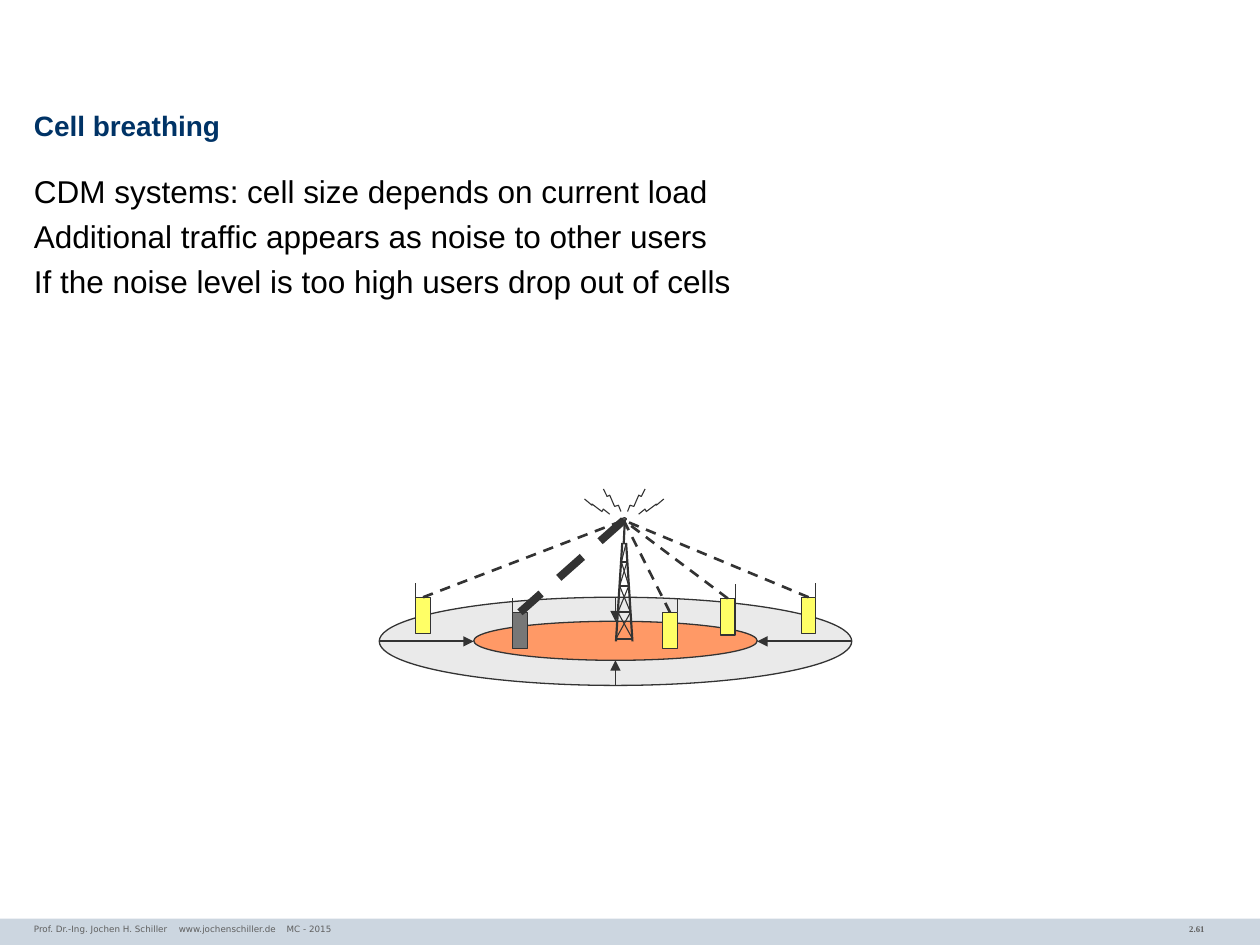
from lxml import etree
from pptx import Presentation
from pptx.dml.color import RGBColor
from pptx.enum import dml, shapes, text
from pptx.oxml import ns
from pptx.util import Pt

INK = "333333"
GREY = "5F5F5F"
YELLOW = "FFFF66"
AXIS = 356.7
MAST_TOP = (356.4, 297.3)
PHONE_WIDTH, PHONE_HEIGHT, ANTENNA = 8.3, 20.9, 8.3
PHONES = [
    (237.6, 341.3, YELLOW, "left"),
    (293, 349.9, "777777", "left"),
    (378.7, 349.9, YELLOW, "right"),
    (411.8, 342, YELLOW, "right"),
    (457.9, 341.3, YELLOW, "right"),
]
TOWER_LEVELS = [(310.3, 1.1), (321.1, 1.6), (334.8, 2.6), (349.9, 3.6), (365, 4.7)]
WAVES = [
    [(365, 293.8), (368.6, 290.9), (369.4, 292.3), (375.1, 288), (375.1, 288.7), (379.4, 285.1)],
    [(358.6, 292.3), (360, 288.7), (362.2, 289.4), (365, 283), (366.5, 283.7), (368.6, 279.4)],
]


def colour(value):
    return RGBColor.from_string(value)


def add_element(parent, tag, **attributes):
    return etree.SubElement(parent, ns.qn(tag), **attributes)


def style_line(line, width):
    line.color.rgb = colour(INK)
    line.width = Pt(width)


def place(box, left, top, width, height):
    box.left, box.top, box.width, box.height = Pt(left), Pt(top), Pt(width), Pt(height)


def set_insets(frame, side, edge):
    frame.word_wrap = True
    frame.auto_size = text.MSO_AUTO_SIZE.NONE
    frame.margin_left = frame.margin_right = Pt(side)
    frame.margin_top = frame.margin_bottom = Pt(edge)


def add_span(para, wording, size, font, ink, bold=False):
    span = para.add_run()
    span.text = wording
    span.font.size = Pt(size)
    span.font.name = font
    span.font.bold = bold
    span.font.color.rgb = colour(ink)


def fill_title(box):
    place(box, 19.4, 56.2, 680.4, 33.8)
    set_insets(box.text_frame, 0, 0)
    box.text_frame.vertical_anchor = text.MSO_ANCHOR.MIDDLE
    para = box.text_frame.paragraphs[0]
    para.alignment = text.PP_ALIGN.LEFT
    para.line_spacing = 0.85
    add_span(para, "Cell breathing", 16, "Arial", "003366", True)


def fill_body(box, lines):
    place(box, 19.4, 98, 680.4, 412.5)
    frame = box.text_frame
    set_insets(frame, 0, 0)
    for index, wording in enumerate(lines):
        para = frame.add_paragraph() if index else frame.paragraphs[0]
        properties = para._p.get_or_add_pPr()
        properties.set("marL", "0")
        properties.set("indent", "0")
        add_element(properties, "a:buNone")
        para.line_spacing = 1.02
        para.space_before = Pt(3.7 if index else 0)
        add_span(para, wording, 18, "Arial", "000000")


def add_label(page, left, width, side, wording, font, bold=False, align=text.PP_ALIGN.LEFT, tabs=()):
    box = page.shapes.add_textbox(Pt(left), Pt(524.2), Pt(width), Pt(15.8))
    set_insets(box.text_frame, side, 3.6)
    para = box.text_frame.paragraphs[0]
    para.alignment = align
    if tabs:
        stops = add_element(para._p.get_or_add_pPr(), "a:tabLst")
        for position in tabs:
            add_element(stops, "a:tab", pos=str(int(Pt(position))), algn="l")
    add_span(para, wording, 5, font, GREY, bold)


def add_filled(parent, kind, left, top, width, height, fill, outlined=True):
    shape = parent.shapes.add_shape(kind, Pt(left), Pt(top), Pt(width), Pt(height))
    shape.shadow.inherit = False
    shape.fill.solid()
    shape.fill.fore_color.rgb = colour(fill)
    if outlined:
        style_line(shape.line, 0.75)
    else:
        shape.line.fill.background()


def add_line(parent, start, end, width, dashed=False, arrow=False):
    points = [Pt(value) for value in (*start, *end)]
    line = parent.shapes.add_connector(shapes.MSO_CONNECTOR.STRAIGHT, *points)
    style_line(line.line, width)
    if dashed:
        line.line.dash_style = dml.MSO_LINE.DASH
    if arrow:
        add_element(line.line._get_or_add_ln(), "a:tailEnd", type="triangle")
    add_element(line._element.spPr, "a:effectLst")


def add_waves(page):
    group = page.shapes.add_group_shape()
    for side in (1, -1):
        for wave in WAVES:
            points = [(Pt(AXIS + side * (x - AXIS)), Pt(y)) for x, y in wave]
            builder = group.shapes.build_freeform(*points[0])
            builder.add_line_segments(points[1:], close=False)
            shape = builder.convert_to_shape()
            shape.shadow.inherit = False
            shape.fill.background()
            style_line(shape.line, 0.62)


def add_tower(page):
    group = page.shapes.add_group_shape()
    add_line(group, (356.4, 311), (357.1, 296.6), 1.25)
    for side in (-1, 1):
        add_line(group, (AXIS + side * 4.7, 366.5), (AXIS + side * 1.1, 310.3), 1.25)
    for index, (upper, lower) in enumerate(zip(TOWER_LEVELS, TOWER_LEVELS[1:])):
        (high, narrow), (low, wide) = upper, lower
        add_line(group, (AXIS - wide, low), (AXIS + wide, low), 1.25)
        for side in (1, -1) if index else (1,):
            add_line(group, (AXIS - side * wide, low), (AXIS + side * narrow, high), 0.62)
    add_filled(group, shapes.MSO_SHAPE.OVAL, 355.7, 295.9, 2.2, 1.4, "C0C0C0")


def add_phone(page, left, top, fill, antenna_side):
    group = page.shapes.add_group_shape()
    add_filled(group, shapes.MSO_SHAPE.RECTANGLE, left, top, PHONE_WIDTH, PHONE_HEIGHT, fill)
    x = left if antenna_side == "left" else left + PHONE_WIDTH
    add_line(group, (x, top), (x, top - ANTENNA), 0.75)


def add_link(page, left, top, fill):
    phone_top = (left + PHONE_WIDTH / 2, top)
    if fill == YELLOW:
        add_line(page, phone_top, MAST_TOP, 1.5, dashed=True)
    else:
        add_line(page, MAST_TOP, phone_top, 4.5, dashed=True)


def main():
    deck = Presentation()
    deck.slide_width, deck.slide_height = Pt(720), Pt(540)
    page = deck.slides.add_slide(deck.slide_layouts[1])
    fill_title(page.shapes.title)
    fill_body(page.placeholders[1], [
        "CDM systems: cell size depends on current load",
        "Additional traffic appears as noise to other users",
        "If the noise level is too high users drop out of cells",
    ])
    add_filled(page, shapes.MSO_SHAPE.RECTANGLE, 0, 524.9, 720, 15.1, "CCD6E0", outlined=False)
    add_label(page, 599, 96.5, 7.2, "2.61", "Times New Roman", True, text.PP_ALIGN.RIGHT)
    footer = "Prof. Dr.-Ing. Jochen H. Schiller\twww.jochenschiller.de\tMC - 2015"
    add_label(page, 19.4, 470.9, 0, footer, "DejaVu Sans", tabs=(82.8, 144.4))

    add_filled(page, shapes.MSO_SHAPE.OVAL, 216.7, 341.3, 270, 50.4, "EAEAEA")
    add_filled(page, shapes.MSO_SHAPE.OVAL, 270.7, 355, 162, 22.3, "FF9966")
    add_waves(page)
    add_tower(page)
    for phone in PHONES:
        add_phone(page, *phone)
    for left, top, fill, _ in PHONES:
        add_link(page, left, top, fill)
    for start, end in [
        ((216.7, 366.5), (270.7, 366.5)),
        ((351.7, 391.7), (351.7, 377.3)),
        ((486.7, 366.5), (432.7, 366.5)),
        ((351.7, 341.3), (351.7, 355)),
    ]:
        add_line(page, start, end, 1, arrow=True)
    deck.save("out.pptx")


if __name__ == "__main__":
    main()
